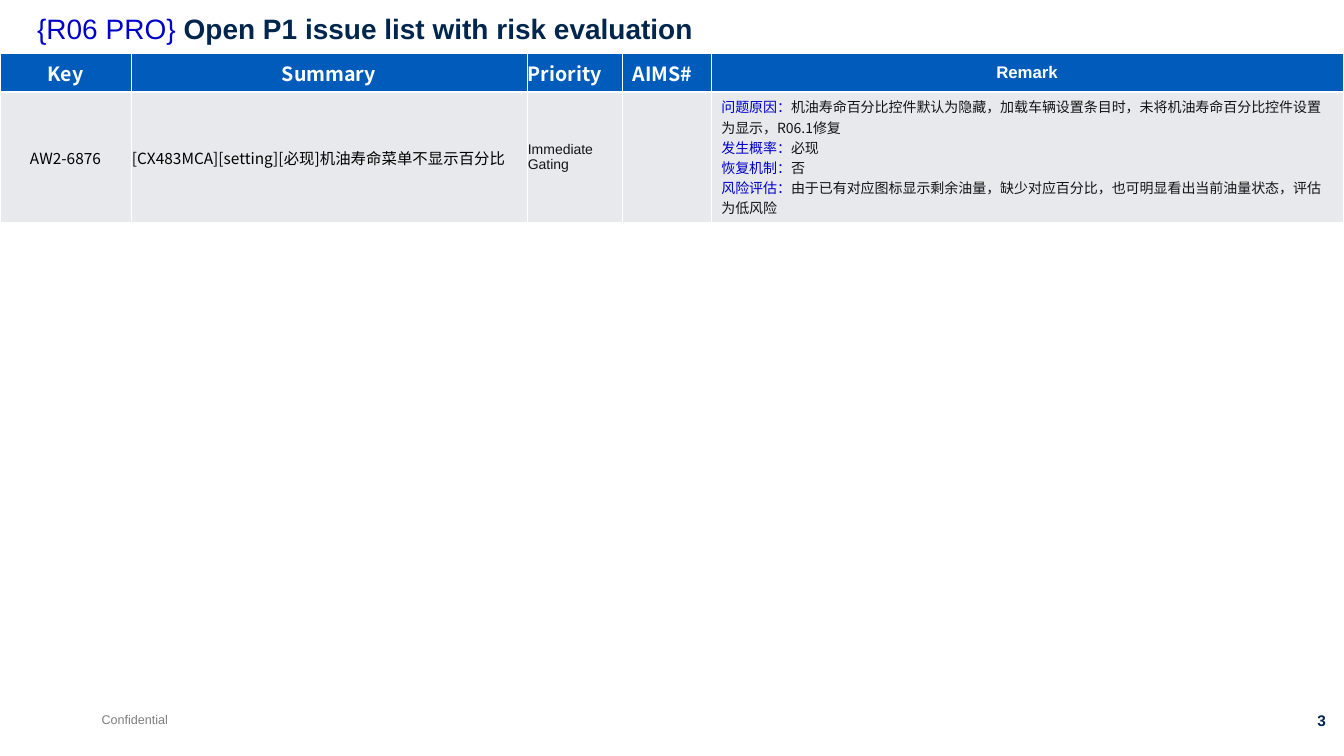
from lxml.etree import SubElement
from pptx import Presentation
from pptx.dml.color import RGBColor
from pptx.enum.text import MSO_ANCHOR, PP_ALIGN
from pptx.oxml.ns import qn
from pptx.util import Inches, Pt

NAVY, BLUE, INK, WHITE = "00264E", "0000CC", "131416", "FFFFFF"
HEADER_FILL, BODY_FILL = "005BBA", "E7E9EC"
CJK = "Noto Sans CJK SC"
LEFT, CENTER, RIGHT = PP_ALIGN.LEFT, PP_ALIGN.CENTER, PP_ALIGN.RIGHT

TITLE_STYLE = dict(name="Arial", size=20, color=BLUE, bold=False)
HEADER_STYLE = dict(name=CJK, size=14, color=WHITE, bold=True)
ISSUE_STYLE = dict(name=CJK, size=11, color="000000", bold=False)
REMARK_STYLE = dict(name=CJK, size=10, color=INK, bold=False)
LABEL_STYLE = REMARK_STYLE | dict(color=BLUE)

TITLE = [[("{R06 PRO} ", TITLE_STYLE),
          ("Open P1 issue list with risk evaluation", TITLE_STYLE | dict(color=NAVY, bold=True))]]
FOOTER = [[("Confidential", dict(name="Arial", size=9, color="7F7F7F", bold=False))]]
PAGE_NUMBER = [[("3", dict(name="Arial", size=11, color=NAVY, bold=True))]]

TEXTS = [
    (FOOTER, (0.91, 7.01, 0.86, 0.25), LEFT, False, 1.0),
    (PAGE_NUMBER, (12.32, 7.01, 0.94, 0.29), RIGHT, False, 1.0),
    (TITLE, (0.27, 0.1, 11.85, 0.63), LEFT, True, 0.9),
]

REMARKS = [
    ("问题原因：", "机油寿命百分比控件默认为隐藏，加载车辆设置条目时，未将机油寿命百分比控件设置为显示，R06.1修复"),
    ("发生概率：", "必现"),
    ("恢复机制：", "否"),
    ("风险评估：", "由于已有对应图标显示剩余油量，缺少对应百分比，也可明显看出当前油量状态，评估为低风险"),
]
HEADERS = [
    ("Key", HEADER_STYLE, CENTER, 0.01),
    ("Summary", HEADER_STYLE, CENTER, 0.01),
    ("Priority", HEADER_STYLE, LEFT, 0.01),
    ("AIMS#", HEADER_STYLE, LEFT, 0.1),
    ("Remark", HEADER_STYLE | dict(name="Arial", size=12), CENTER, 0.1),
]
ISSUE = [
    ("AW2-6876", ISSUE_STYLE, CENTER, 0.01),
    ("[CX483MCA][setting][必现]机油寿命菜单不显示百分比", ISSUE_STYLE, LEFT, 0.01),
    ("Immediate Gating", REMARK_STYLE | dict(name="Arial"), LEFT, 0.01),
    ("", REMARK_STYLE, LEFT, 0.1),
]
COLUMN_WIDTHS = [1.3, 3.93, 0.95, 0.88, 6.27]
ROW_HEIGHTS = [0.38, 1.3]
TABLE_LEFT, TABLE_TOP = 0, 0.53
THIN, THICK = 0.45, 1.47


def rgb(value):
    """Turn a hex string into a colour."""
    return RGBColor.from_string(value)


def write(frame, paragraphs, align, spacing=1.0):
    """Fill a text frame with paragraphs of styled runs."""
    for index, runs in enumerate(paragraphs):
        paragraph = frame.paragraphs[0] if index == 0 else frame.add_paragraph()
        paragraph.alignment = align
        paragraph.line_spacing = spacing
        for text, style in runs:
            run = paragraph.add_run()
            run.text = text
            run.font.color.rgb = rgb(style["color"])
            formats = dict(name=style["name"], size=Pt(style["size"]), bold=style["bold"])
            for attribute, value in formats.items():
                setattr(run.font, attribute, value)
            SubElement(run.font._element, qn("a:ea"), typeface=style["name"])


def draw_borders(cell, widths):
    """Draw white cell edges of the given point widths."""
    for side, width in widths.items():
        edge = SubElement(cell._tc.get_or_add_tcPr(), qn(f"a:ln{side}"), w=str(int(Pt(width))))
        SubElement(SubElement(edge, qn("a:solidFill")), qn("a:srgbClr"), val=WHITE)


def fill_cell(cell, paragraphs, align, inset, anchor, fill, borders):
    """Format and fill one table cell."""
    formats = dict(margin_left=Inches(inset), margin_right=Inches(inset),
                   margin_top=Inches(0.05), margin_bottom=Inches(0.05), vertical_anchor=anchor)
    for attribute, value in formats.items():
        setattr(cell, attribute, value)
    draw_borders(cell, borders)
    cell.fill.solid()
    cell.fill.fore_color.rgb = rgb(fill)
    write(cell.text_frame, paragraphs, align)


def add_issue_table(slide):
    """Add the issue table with its header and issue row."""
    table = slide.shapes.add_table(
        len(ROW_HEIGHTS), len(COLUMN_WIDTHS), Inches(TABLE_LEFT), Inches(TABLE_TOP),
        Inches(sum(COLUMN_WIDTHS)), Inches(sum(ROW_HEIGHTS))).table
    for column, width in zip(table.columns, COLUMN_WIDTHS):
        column.width = Inches(width)
    for row, height in zip(table.rows, ROW_HEIGHTS):
        row.height = Inches(height)
    header_borders = dict(L=THIN, R=THIN, T=THIN, B=THICK)
    issue_borders = dict(L=THIN, R=THIN, T=THICK, B=THIN)
    bands = [(HEADERS, HEADER_FILL, header_borders), (ISSUE, BODY_FILL, issue_borders)]
    for row, (entries, fill, borders) in enumerate(bands):
        for column, (text, style, align, inset) in enumerate(entries):
            runs = [(text, style)] if text else []
            fill_cell(table.cell(row, column), [runs], align, inset,
                      MSO_ANCHOR.MIDDLE, fill, borders)
    remarks = [[(label, LABEL_STYLE), (detail, REMARK_STYLE)] for label, detail in REMARKS]
    fill_cell(table.cell(1, len(ISSUE)), remarks, LEFT, 0.1,
              MSO_ANCHOR.TOP, BODY_FILL, issue_borders)


def main():
    """Build the slide and save it."""
    deck = Presentation()
    deck.slide_width, deck.slide_height = Inches(13.34), Inches(7.5)
    slide = deck.slides.add_slide(deck.slide_layouts[6])
    for paragraphs, place, align, wrap, spacing in TEXTS:
        frame = slide.shapes.add_textbox(*map(Inches, place)).text_frame
        frame.word_wrap = wrap
        write(frame, paragraphs, align, spacing)
    add_issue_table(slide)
    deck.save("out.pptx")


if __name__ == "__main__":
    main()
